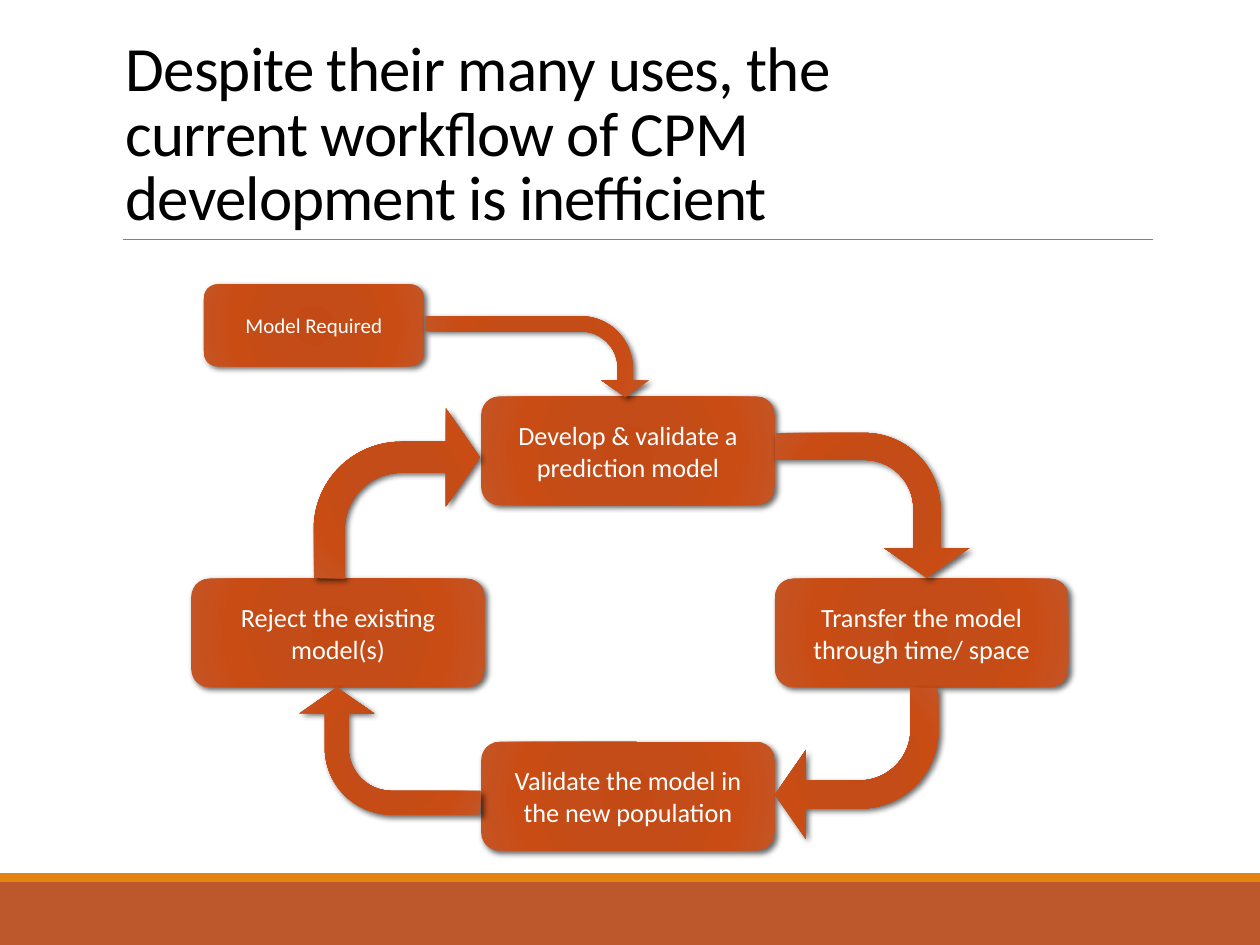
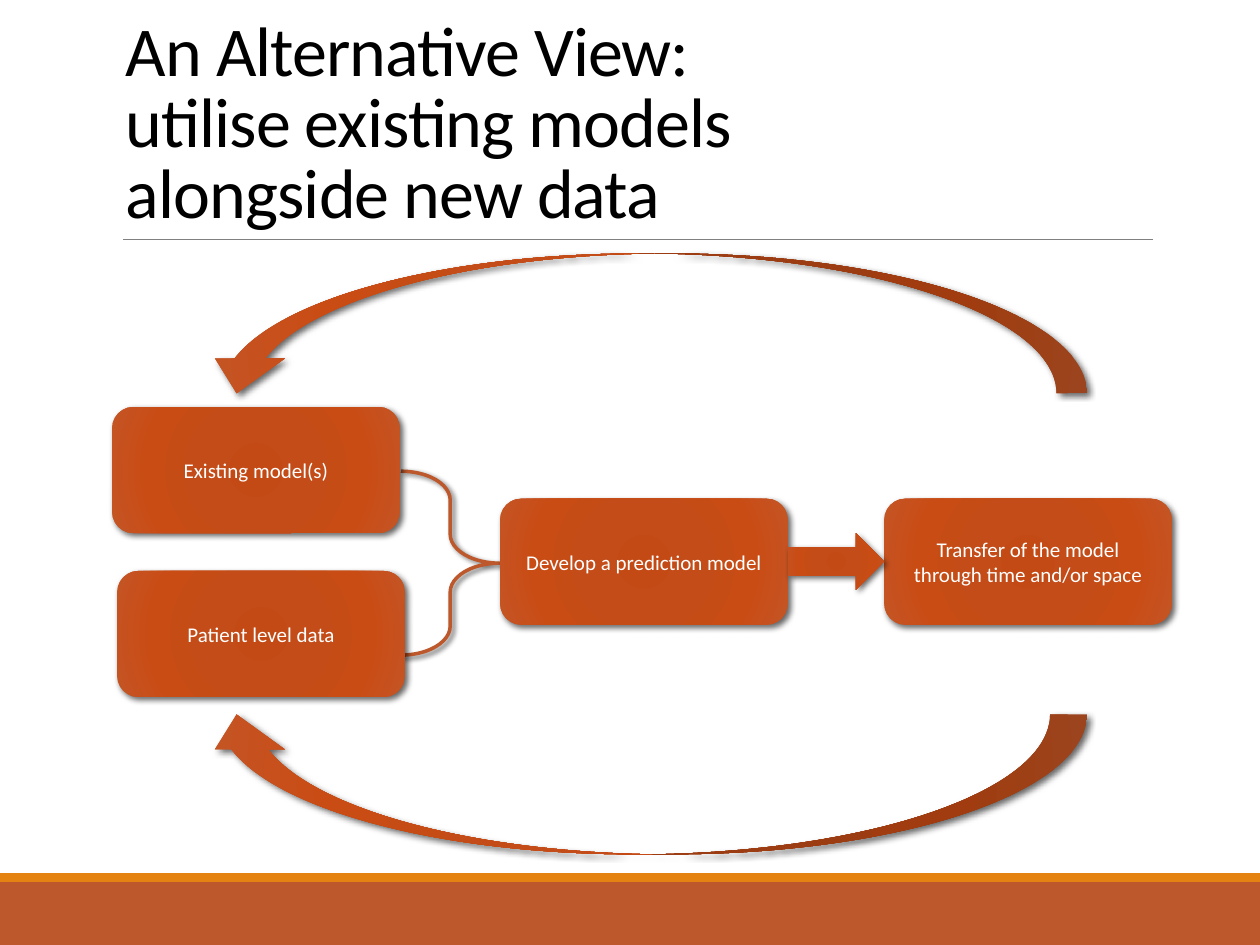
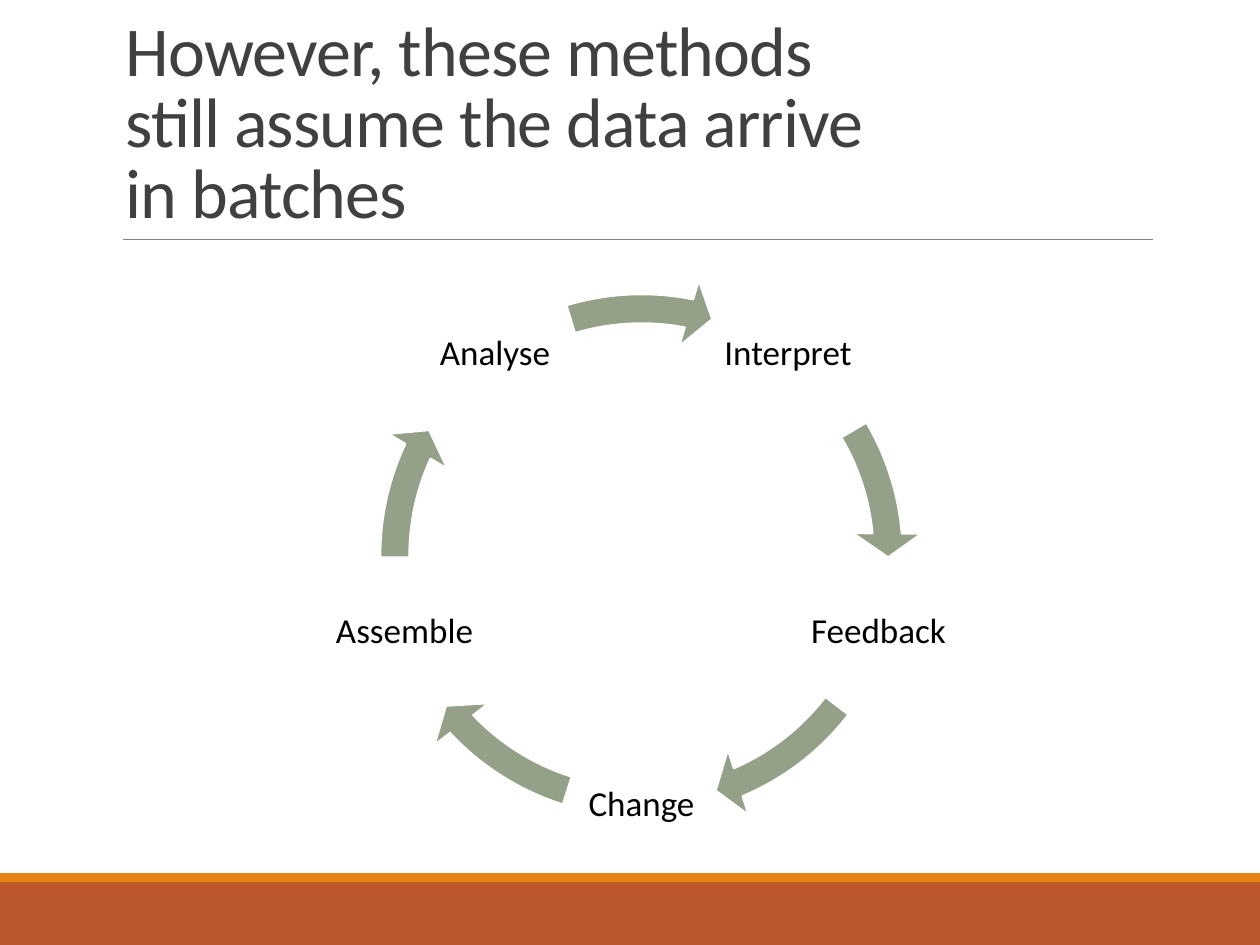
"""Builds three slides on the workflow of clinical prediction models."""
import math
from dataclasses import dataclass

from lxml import etree
from pptx import Presentation
from pptx.dml.color import RGBColor
from pptx.enum import shapes, text
from pptx.oxml.ns import qn
from pptx.util import Pt

KIND = shapes.MSO_SHAPE


@dataclass(frozen=True)
class Theme:
    """Colours, type sizes and effects used on every slide."""
    font: str = "Calibri"
    band: str = "BD582C"
    stripe: str = "E48312"
    rule: str = "808080"
    black: str = "000000"
    grey: str = "404040"
    white: str = "FFFFFF"
    sage: str = "94A088"
    glow: tuple = ((0, "C44A15"), (34, "C34C18"), (70, "C94C15"), (100, "C45525"))
    title: float = 40
    long_title: float = 36
    cycle_label: float = 20
    step: float = 15
    small_step: float = 12


@dataclass(frozen=True)
class Box:
    """A place on the slide, in points."""
    left: float
    top: float
    width: float
    height: float

    def lengths(self) -> tuple:
        """Return the four lengths for an add_shape call."""
        return Pt(self.left), Pt(self.top), Pt(self.width), Pt(self.height)


@dataclass(frozen=True)
class Step:
    """A labelled rounded box of a workflow."""
    label: str
    box: Box
    size: float


@dataclass(frozen=True)
class Arrow:
    """A block arrow between workflow steps."""
    kind: int
    box: Box
    adjustments: tuple = ()
    rotation: float = 0


@dataclass(frozen=True)
class Stage:
    """A stage of the batch cycle and the arc (in degrees) of the arrow drawn after it."""
    label: str
    arc_start: float
    arc_end: float


THEME = Theme()
BEND = (0.187, 0.295, 0.205, 0.524)
LONG_BEND = (0.187, 0.295, 0.205, 0.643)


def rgb(colour: str) -> RGBColor:
    """Turn a hex string into a colour."""
    return RGBColor.from_string(colour)


def write(frame, words: str, size: float, colour: str, align=text.PP_ALIGN.CENTER,
          anchor=text.MSO_ANCHOR.MIDDLE):
    """Fill a text frame with one formatted paragraph and return the paragraph."""
    frame.word_wrap = True
    frame.vertical_anchor = anchor
    frame.text = words
    paragraph = frame.paragraphs[0]
    paragraph.alignment = align
    for run in paragraph.runs:
        run.font.name = THEME.font
        run.font.size = Pt(size)
        run.font.color.rgb = rgb(colour)
    return paragraph


def add_plain(slide, kind, box: Box, fill: str = "", line: str = "", width: float = 1,
              adjustments: tuple = (), rotation: float = 0):
    """Add a preset shape with optional solid fill and outline."""
    shape = slide.shapes.add_shape(kind, *box.lengths())
    shape.shadow.inherit = False
    shape.rotation = rotation
    for index, value in enumerate(adjustments):
        shape.adjustments[index] = value
    if fill:
        shape.fill.solid()
        shape.fill.fore_color.rgb = rgb(fill)
    else:
        shape.fill.background()
    if line:
        shape.line.color.rgb = rgb(line)
        shape.line.width = Pt(width)
    else:
        shape.line.fill.background()
    return shape


def add_colour(parent, colour: str):
    """Append a hex colour element."""
    return etree.SubElement(parent, qn("a:srgbClr"), val=colour)


def cast_shadow(shape, blur: float) -> None:
    """Give a shape the soft shadow to its lower right."""
    effects = shape._element.spPr.find(qn("a:effectLst"))
    shadow = etree.SubElement(effects, qn("a:outerShdw"), blurRad=str(Pt(blur)),
                              dist=str(Pt(2)), dir=str(45 * 60000), algn="br",
                              rotWithShape="0")
    etree.SubElement(add_colour(shadow, THEME.black), qn("a:alpha"), val="60000")


def add_glowing(slide, kind, box: Box, adjustments: tuple = (), rotation: float = 0):
    """Add a shape with the shared radial gradient and shadow."""
    shape = add_plain(slide, kind, box, adjustments=adjustments, rotation=rotation)
    properties = shape._element.spPr
    gradient = etree.Element(qn("a:gradFill"), rotWithShape="1")
    properties.replace(properties.find(qn("a:noFill")), gradient)
    stops = etree.SubElement(gradient, qn("a:gsLst"))
    for position, colour in THEME.glow:
        add_colour(etree.SubElement(stops, qn("a:gs"), pos=str(position * 1000)), colour)
    radial = etree.SubElement(gradient, qn("a:path"), path="circle")
    etree.SubElement(radial, qn("a:fillToRect"), {side: "100000" for side in "ltrb"})
    cast_shadow(shape, 3.5)
    return shape


def add_workflow(slide, steps: list[Step], arrows: list[Arrow]) -> None:
    """Draw the steps of a workflow and the arrows between them."""
    for step in steps:
        rounded = add_glowing(slide, KIND.ROUNDED_RECTANGLE, step.box)
        write(rounded.text_frame, step.label, step.size, THEME.white)
    for arrow in arrows:
        add_glowing(slide, arrow.kind, arrow.box, arrow.adjustments, arrow.rotation)


def start_slide(deck, heading: str, size: float, colour: str):
    """Add a slide with footer bands, title and the rule under it."""
    slide = deck.slides.add_slide(deck.slide_layouts[6])
    add_plain(slide, KIND.RECTANGLE, Box(0, 504, 720, 36), THEME.band)
    add_plain(slide, KIND.RECTANGLE, Box(0, 499, 720, 5), THEME.stripe)
    rule = slide.shapes.add_connector(shapes.MSO_CONNECTOR.STRAIGHT,
                                      Pt(70.5), Pt(136.8), Pt(658.8), Pt(136.8))
    rule.line.color.rgb = rgb(THEME.rule)
    rule.line.width = Pt(0.5)
    etree.SubElement(rule._element.spPr, qn("a:effectLst"))
    title = slide.shapes.add_textbox(*Box(64.8, 22.3, 436, 114.5).lengths())
    paragraph = write(title.text_frame, heading, size, colour,
                      text.PP_ALIGN.LEFT, text.MSO_ANCHOR.BOTTOM)
    paragraph.line_spacing = 0.85
    for run in paragraph.runs:
        run._r.get_or_add_rPr().set("spc", "-50")
    return slide


def build_current_workflow(deck) -> None:
    """Draw the loop of developing and rejecting models."""
    slide = start_slide(deck, "Despite their many uses, the current workflow of CPM "
                        "development is inefficient", THEME.long_title, THEME.black)
    loop = [("Develop & validate a prediction model", 275, 226.6),
            ("Reject the existing model(s)", 109.3, 330.7),
            ("Transfer the model through time/ space", 442.8, 330.7),
            ("Validate the model in the new population", 275, 424)]
    steps = [Step(label, Box(left, top, 167.8, 62), THEME.step) for label, left, top in loop]
    steps.append(Step("Model Required", Box(116.4, 162.5, 126, 46.8), THEME.small_step))
    bent = KIND.BENT_ARROW
    add_workflow(slide, steps, [
        Arrow(bent, Box(457.2, 233.3, 82.8, 110.9), BEND, 90),
        Arrow(bent, Box(186.5, 377.3, 72.7, 103.7), BEND, 270),
        Arrow(bent, Box(442.8, 393.1, 93.6, 86.4), BEND, 180),
        Arrow(bent, Box(179.3, 233.3, 95, 97.2), BEND),
        Arrow(bent, Box(283.7, 139.7, 46.1, 128.2), LONG_BEND, 90),
    ])


def build_alternative_view(deck) -> None:
    """Draw existing models and new data feeding one model."""
    slide = start_slide(deck, "An Alternative View: utilise existing models alongside new data",
                        THEME.title, THEME.black)
    brace = add_plain(slide, KIND.RIGHT_BRACE, Box(229, 269.3, 56.5, 105.1),
                      line=THEME.band, width=2, adjustments=(0.293, 0.5))
    cast_shadow(brace, 3)
    places = [("Develop a prediction model", 285.8, 285),
              ("Existing model(s)", 64.1, 232.6),
              ("Transfer of the model through time and/or space", 505.3, 285),
              ("Patient level data", 67, 326.3)]
    steps = [Step(label, Box(left, top, 164.4, 72), THEME.small_step)
             for label, left, top in places]
    add_workflow(slide, steps, [
        Arrow(KIND.RIGHT_ARROW, Box(450.5, 304.6, 54.8, 32.4)),
        Arrow(KIND.CURVED_DOWN_ARROW, Box(115.2, 408.2, 506, 80), (0.265, 0.5, 0.25), 180),
        Arrow(KIND.CURVED_UP_ARROW, Box(115.2, 144.8, 506, 80), (0.219, 0.5, 0.25), 180),
    ])


def build_batch_cycle(deck) -> None:
    """Draw the five-stage cycle of batch data."""
    slide = start_slide(deck, "However, these methods still assume the data arrive in batches",
                        THEME.title, THEME.grey)
    stages = [Stage("Interpret", 329.44, 354.88), Stage("Feedback", 37.57, 66.9),
              Stage("Change", 107.5, 136.84), Stage("Assemble", 179.52, 204.96),
              Stage("Analyse", 253.31, 281.09)]
    centre_x, centre_y, radius = 366.6, 317.4, 142.4
    label_side, ring_side, units_per_degree = 85.7, 321, 0.6
    ring = Box(centre_x - ring_side / 2, centre_y - ring_side / 2, ring_side, ring_side)
    for index, stage in enumerate(stages):
        angle = math.radians(-54 + index * 360 / len(stages))
        place = Box(centre_x + radius * math.cos(angle) - label_side / 2,
                    centre_y + radius * math.sin(angle) - label_side / 2,
                    label_side, label_side)
        frame = slide.shapes.add_textbox(*place.lengths()).text_frame
        frame.margin_left = frame.margin_right = Pt(2)
        frame.margin_top = frame.margin_bottom = Pt(2)
        write(frame, stage.label, THEME.cycle_label, THEME.black).line_spacing = 0.9
        add_plain(slide, KIND.CIRCULAR_ARROW, ring, THEME.sage, THEME.white, 1.25,
                  (0.052, 3.36, stage.arc_end * units_per_degree,
                   stage.arc_start * units_per_degree, 0.061))


def main() -> None:
    """Build and save the deck."""
    deck = Presentation()
    deck.slide_width, deck.slide_height = Pt(720), Pt(540)
    build_current_workflow(deck)
    build_alternative_view(deck)
    build_batch_cycle(deck)
    deck.save("out.pptx")


if __name__ == "__main__":
    main()
